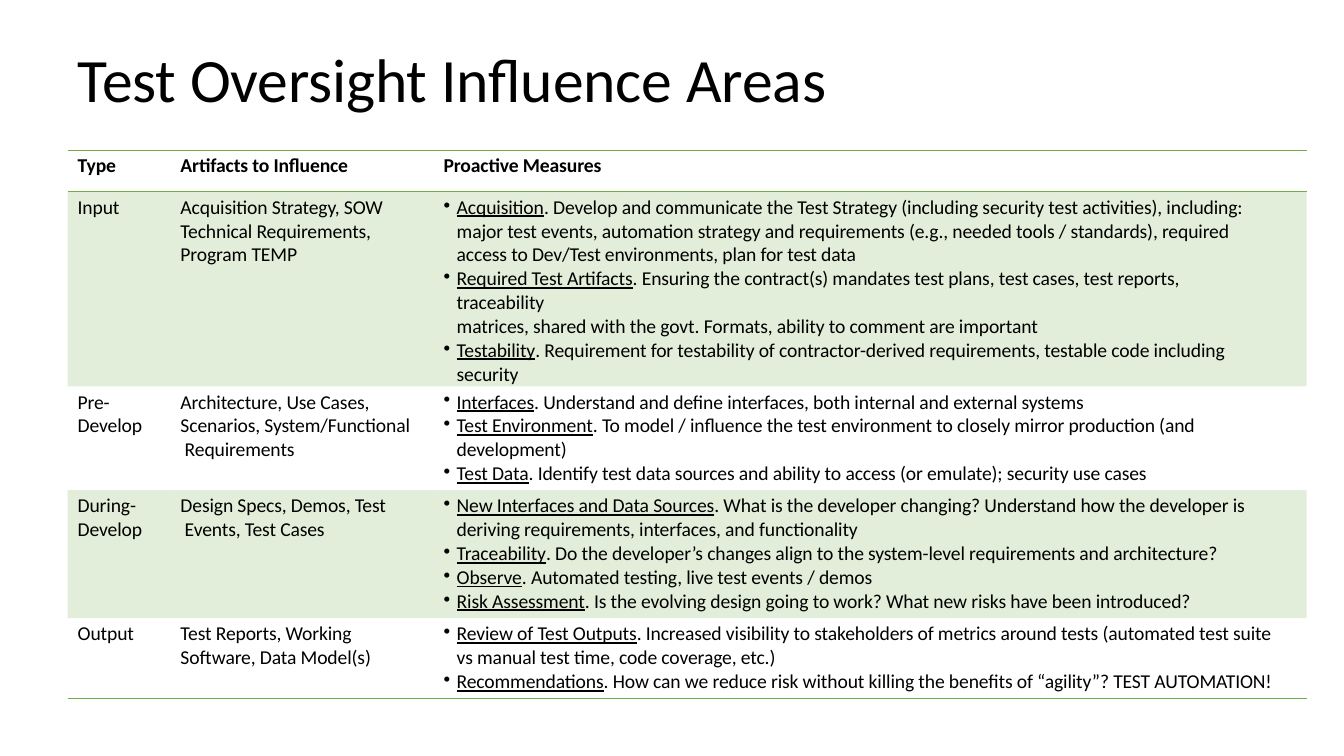
import copy
from dataclasses import dataclass

import pptx
import pptx.dml.color
import pptx.enum.text
import pptx.oxml
import pptx.oxml.ns
import pptx.util

WIDE, TALL = 13.33, 7.5
FONT, BLACK, GREEN = "Calibri", "000000", "70AD47"
PLAIN_GRID = "{2D5ABB26-0587-4C30-8999-92F81FD0307C}"
# Table lengths, in percent of the slide's width or height
COLS = (7.65, 19.58, 64.97)
HEAD_ROW = 5.47
HEADS = ("Type", "Artifacts to Influence", "Proactive Measures")


@dataclass
class Point:
    lead: str
    text: str
    mark: bool = True


@dataclass
class Stage:
    name: str
    items: str
    points: list[Point]
    tall: float
    tint: bool = False


STAGES = [
    Stage("Input", "Acquisition Strategy, SOW\nTechnical Requirements,\nProgram TEMP", [
        Point("Acquisition", ". Develop and communicate the Test Strategy (including security test "
              "activities), including:\nmajor test events, automation strategy and requirements "
              "(e.g., needed tools / standards), required\naccess to Dev/Test environments, "
              "plan for test data"),
        Point("Required Test Artifacts", ". Ensuring the contract(s) mandates test plans, "
              "test cases, test reports,\ntraceability"),
        Point("", "matrices, shared with the govt. Formats, ability to comment are important",
              mark=False),
        Point("Testability", ". Requirement for testability of contractor-derived requirements, "
              "testable code including\nsecurity"),
    ], 23.07, tint=True),
    Stage("Pre-\nDevelop", "Architecture, Use Cases,\nScenarios, System/Functional\n Requirements", [
        Point("Interfaces", ". Understand and define interfaces, both internal and external systems"),
        Point("Test Environment", ". To model / influence the test environment to closely mirror "
              "production (and\ndevelopment)"),
        Point("Test Data", ". Identify test data sources and ability to access (or emulate); "
              "security use cases"),
    ], 13.73),
    Stage("During-\nDevelop", "Design Specs, Demos, Test\n Events, Test Cases", [
        Point("New Interfaces and Data Sources", ". What is the developer changing? Understand "
              "how the developer is\nderiving requirements, interfaces, and functionality"),
        Point("Traceability", ". Do the developer’s changes align to the system-level "
              "requirements and architecture?"),
        Point("Observe", ". Automated testing, live test events / demos"),
        Point("Risk Assessment", ". Is the evolving design going to work? What new risks have "
              "been introduced?"),
    ], 16.93, tint=True),
    Stage("Output", "Test Reports, Working\nSoftware, Data Model(s)", [
        Point("Review of Test Outputs", ". Increased visibility to stakeholders of metrics around "
              "tests (automated test suite\nvs manual test time, code coverage, etc.)"),
        Point("Recommendations", ". How can we reduce risk without killing the benefits of "
              "“agility”? TEST AUTOMATION!"),
    ], 10.67),
]


def across(share: float) -> int:
    return pptx.util.Inches(WIDE * share / 100)


def down(share: float) -> int:
    return pptx.util.Inches(TALL * share / 100)


def tone(code: str) -> pptx.dml.color.RGBColor:
    return pptx.dml.color.RGBColor.from_string(code)


def add_tag(parent, tag: str, **attrs: str):
    child = pptx.oxml.parse_xml(f"<{tag} {pptx.oxml.ns.nsdecls('a')}/>")
    for key, value in attrs.items():
        child.set(key, value)
    parent.append(child)
    return child


def write(para, text: str, size: float = 14, bold: bool = False, under: bool = False,
          color: str = BLACK, track: float = -0.1) -> None:
    """Add text to a paragraph; a newline becomes a line break of the same size."""
    for step, line in enumerate(text.split("\n")):
        if step:
            para.add_line_break()
            para._p[-1].append(copy.deepcopy(run._r.rPr))
        run = para.add_run()
        run.text = line
        run.font.name, run.font.size = FONT, pptx.util.Pt(size)
        run.font.bold, run.font.underline = bold, under
        run.font.color.rgb = tone(color)
        run._r.rPr.set("spc", str(round(track * 100)))


def indent(para, left: float, first: float = 0, before: float = 0, mark: bool = False) -> None:
    para.space_before = pptx.util.Pt(before)
    props = para._p.get_or_add_pPr()
    props.set("marL", str(pptx.util.Inches(left)))
    props.set("indent", str(pptx.util.Inches(first)))
    if mark:
        add_tag(props, "a:buChar", char="•")


def dress(cell, edges: str, tint: bool) -> None:
    """Set a cell's margins, its green edges (T, B) and its fill."""
    cell.margin_left = cell.margin_right = cell.margin_bottom = 0
    cell.margin_top = pptx.util.Inches(0.04)
    props = cell._tc.get_or_add_tcPr()
    for edge in edges:
        line = add_tag(props, f"a:ln{edge}", w=str(pptx.util.Pt(1)))
        add_tag(add_tag(line, "a:solidFill"), "a:srgbClr", val=GREEN)
    if tint:
        cell.fill.solid()
        cell.fill.fore_color.rgb = tone(GREEN)
        add_tag(props.find(pptx.oxml.ns.qn("a:solidFill"))[0], "a:alpha", val="20000")
    else:
        cell.fill.background()


def fill_plain(cell, text: str, bold: bool = False) -> None:
    para = cell.text_frame.paragraphs[0]
    indent(para, 0.1, before=2.7)
    write(para, text, bold=bold)


def fill_points(cell, points: list[Point]) -> None:
    frame = cell.text_frame
    for step, point in enumerate(points):
        para = frame.add_paragraph() if step else frame.paragraphs[0]
        indent(para, 0.23, -0.13 if point.mark else 0, 0 if step else 2.7, point.mark)
        if point.lead:
            write(para, point.lead, under=True)
        write(para, point.text)


def add_title(slide, text: str) -> None:
    title = slide.shapes.title
    title.left, title.top = across(5.7), down(5.2)
    title.width, title.height = across(61.59), down(10.13)
    frame = title.text_frame
    frame.margin_left = frame.margin_right = frame.margin_top = frame.margin_bottom = 0
    frame.vertical_anchor = pptx.enum.text.MSO_ANCHOR.MIDDLE
    frame.word_wrap = True
    para = frame.paragraphs[0]
    para.alignment = pptx.enum.text.PP_ALIGN.LEFT
    indent(para, 0.01, before=1.1)
    write(para, text, size=44)


def add_grid(slide) -> None:
    rows = [HEAD_ROW] + [stage.tall for stage in STAGES]
    frame = slide.shapes.add_table(len(rows), len(COLS), across(5.03), down(19.87),
                                   across(sum(COLS)), down(sum(rows)))
    table = frame.table
    props = table._tbl.tblPr
    props.find(pptx.oxml.ns.qn("a:tableStyleId")).text = PLAIN_GRID
    table.horz_banding = False
    for col, share in zip(table.columns, COLS):
        col.width = across(share)
    for row, share in zip(table.rows, rows):
        row.height = down(share)
    for cell, head in zip(table.rows[0].cells, HEADS):
        dress(cell, "TB", False)
        fill_plain(cell, head, bold=True)
    for row, stage in enumerate(STAGES, 1):
        cells = list(table.rows[row].cells)
        for cell in cells:
            dress(cell, "B" if row == len(STAGES) else "", stage.tint)
        fill_plain(cells[0], stage.name)
        fill_plain(cells[1], stage.items)
        fill_points(cells[2], stage.points)


def main() -> None:
    deck = pptx.Presentation()
    deck.slide_width, deck.slide_height = across(100), down(100)
    slide = deck.slides.add_slide(deck.slide_layouts[5])
    add_title(slide, "Test Oversight Influence Areas")
    add_grid(slide)
    deck.save("out.pptx")


if __name__ == "__main__":
    main()
